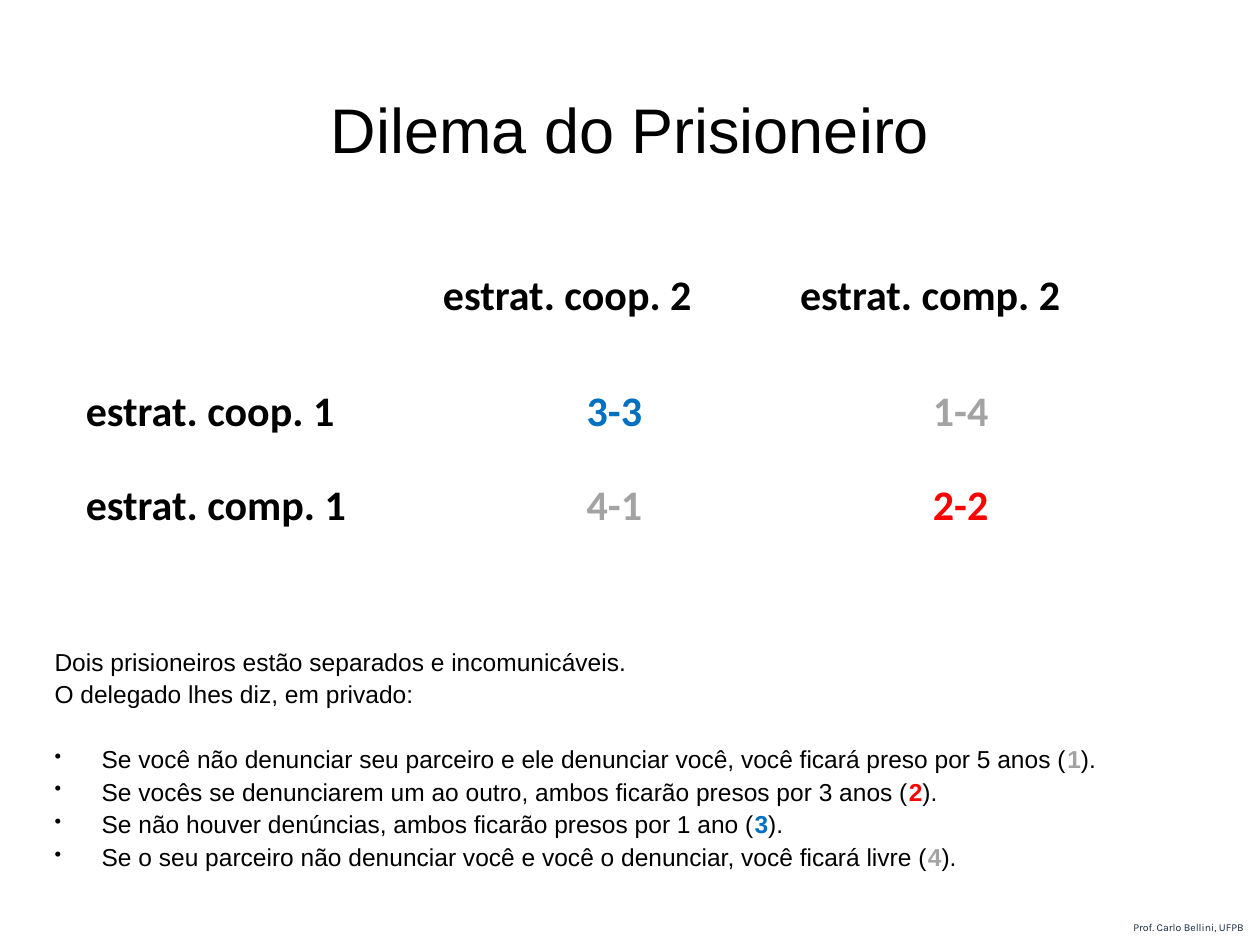
"""Build the prisoner's dilemma slide: payoff matrix, rules and author line."""
from dataclasses import dataclass

from lxml import etree
from pptx import Presentation
from pptx.dml.color import RGBColor
from pptx.enum.shapes import MSO_CONNECTOR
from pptx.enum.text import MSO_ANCHOR, PP_ALIGN
from pptx.oxml.ns import qn
from pptx.util import Cm, Pt

LEFT, CENTER, RIGHT, JUSTIFY = PP_ALIGN.LEFT, PP_ALIGN.CENTER, PP_ALIGN.RIGHT, PP_ALIGN.JUSTIFY
TOP, MIDDLE, BOTTOM = MSO_ANCHOR.TOP, MSO_ANCHOR.MIDDLE, MSO_ANCHOR.BOTTOM
STRAIGHT = MSO_CONNECTOR.STRAIGHT

BLACK, BLUE, GRAY, RED, NAVY, WHITE = "000000", "0070C0", "A3A3A3", "FF0000", "162A40", "FFFFFF"
ROW_TOPS = (7.62, 9.52)
ROW_HEIGHT = 1.27
LABEL_LEFT, LABEL_WIDTH = 1.48, 8.26
HEADER_TOP, HEADER_LEFTS = 5.29, (8.68, 15.88)
PAYOFF_LEFTS, PAYOFF_WIDTH = (8.68, 15.66), 7.41
HANGING = Cm(0.95)
BLANK_LINE = 18.5


@dataclass(frozen=True)
class Style:
    font: str
    size: float
    color: str = BLACK
    bold: bool = False


@dataclass(frozen=True)
class Label:
    text: str
    left: float
    top: float
    width: float
    height: float
    style: Style
    align: PP_ALIGN = LEFT
    anchor: MSO_ANCHOR = MIDDLE


@dataclass(frozen=True)
class Divider:
    start_x: float
    start_y: float
    end_x: float
    end_y: float


@dataclass(frozen=True)
class Rule:
    text: str
    payoff: str
    color: str


TITLE_STYLE = Style("Arial", 36)
BODY_STYLE = Style("Arial", 14)
AUTHOR_STYLE = Style("Karla", 6, NAVY)

DIVIDERS = (Divider(1.48, 6.98, 23.5, 6.98), Divider(8.47, 4.44, 8.47, 11.64))
ROW_NAMES = ("estrat. coop. 1", "estrat. comp. 1")
COLUMN_NAMES = ("estrat. coop. 2", "estrat. comp. 2")
PAYOFFS = (
    (("3-3", BLUE), ("1-4", GRAY)),
    (("4-1", GRAY), ("2-2", RED)),
)
INTRODUCTION = (
    "Dois prisioneiros estão separados e incomunicáveis.",
    "O delegado lhes diz, em privado:",
)
RULES = (
    Rule("Se você não denunciar seu parceiro e ele denunciar você, você ficará preso por 5 anos (", "1", GRAY),
    Rule("Se vocês se denunciarem um ao outro, ambos ficarão presos por 3 anos (", "2", RED),
    Rule("Se não houver denúncias, ambos ficarão presos por 1 ano (", "3", BLUE),
    Rule("Se o seu parceiro não denunciar você e você o denunciar, você ficará livre (", "4", GRAY),
)


def matrix_style(color: str = BLACK) -> Style:
    return Style("Calibri", 24, color, True)


def rgb(color: str) -> RGBColor:
    return RGBColor.from_string(color)


def format_run(run, style: Style) -> None:
    run.font.name = style.font
    run.font.size = Pt(style.size)
    run.font.bold = style.bold
    run.font.color.rgb = rgb(style.color)


def add_frame(slide, left: float, top: float, width: float, height: float, anchor: MSO_ANCHOR):
    text_frame = slide.shapes.add_textbox(Cm(left), Cm(top), Cm(width), Cm(height)).text_frame
    text_frame.word_wrap = True
    text_frame.vertical_anchor = anchor
    return text_frame


def add_label(slide, label: Label) -> None:
    text_frame = add_frame(slide, label.left, label.top, label.width, label.height, label.anchor)
    text_frame.text = label.text
    paragraph = text_frame.paragraphs[0]
    paragraph.alignment = label.align
    format_run(paragraph.runs[0], label.style)


def add_divider(slide, divider: Divider) -> None:
    connector = slide.shapes.add_connector(
        STRAIGHT, Cm(divider.start_x), Cm(divider.start_y), Cm(divider.end_x), Cm(divider.end_y)
    )
    connector.line.color.rgb = rgb(WHITE)
    connector.line.width = Pt(1)
    etree.SubElement(connector._element.spPr, qn("a:effectLst"))


def add_bullet(paragraph) -> None:
    properties = paragraph._p.get_or_add_pPr()
    properties.set("marL", str(HANGING))
    properties.set("indent", str(-HANGING))
    bullet_color = etree.SubElement(properties, qn("a:buClr"))
    etree.SubElement(bullet_color, qn("a:srgbClr"), val=BLACK)
    etree.SubElement(properties, qn("a:buSzPct"), val="80000")
    etree.SubElement(properties, qn("a:buChar"), char="•")


def add_matrix(slide) -> None:
    for divider in DIVIDERS:
        add_divider(slide, divider)
    for name, left in zip(COLUMN_NAMES, HEADER_LEFTS):
        add_label(slide, Label(name, left, HEADER_TOP, PAYOFF_WIDTH, ROW_HEIGHT, matrix_style()))
    for name, top, payoffs in zip(ROW_NAMES, ROW_TOPS, PAYOFFS):
        add_label(slide, Label(name, LABEL_LEFT, top, LABEL_WIDTH, ROW_HEIGHT, matrix_style()))
        for (text, color), left in zip(payoffs, PAYOFF_LEFTS):
            add_label(slide, Label(text, left, top, PAYOFF_WIDTH, ROW_HEIGHT, matrix_style(color), CENTER))


def add_rules(slide) -> None:
    text_frame = add_frame(slide, 0.85, 12.91, 23.92, 5.5, TOP)
    text_frame.text = "\n".join(INTRODUCTION)
    for paragraph in text_frame.paragraphs:
        format_run(paragraph.runs[0], BODY_STYLE)
    for index, rule in enumerate(RULES):
        paragraph = text_frame.add_paragraph()
        if index == 0:
            paragraph.space_before = Pt(BLANK_LINE)
        payoff_style = Style(BODY_STYLE.font, BODY_STYLE.size, rule.color, True)
        for text, style in ((rule.text, BODY_STYLE), (rule.payoff, payoff_style), (").", BODY_STYLE)):
            run = paragraph.add_run()
            run.text = text
            format_run(run, style)
    for paragraph in text_frame.paragraphs:
        paragraph.alignment = JUSTIFY
        paragraph.space_after = Pt(1.8)
    for paragraph in text_frame.paragraphs[len(INTRODUCTION):]:
        add_bullet(paragraph)


def main() -> None:
    presentation = Presentation()
    presentation.slide_width, presentation.slide_height = Cm(25.4), Cm(19.05)
    slide = presentation.slides.add_slide(presentation.slide_layouts[6])
    add_label(slide, Label("Dilema do Prisioneiro", 0, 1.7, 25.4, 1.78, TITLE_STYLE, CENTER, BOTTOM))
    add_matrix(slide)
    add_rules(slide)
    add_label(slide, Label("Prof. Carlo Bellini, UFPB", 16.66, 18.44, 8.66, 0.51, AUTHOR_STYLE, RIGHT))
    presentation.save("out.pptx")


if __name__ == "__main__":
    main()
